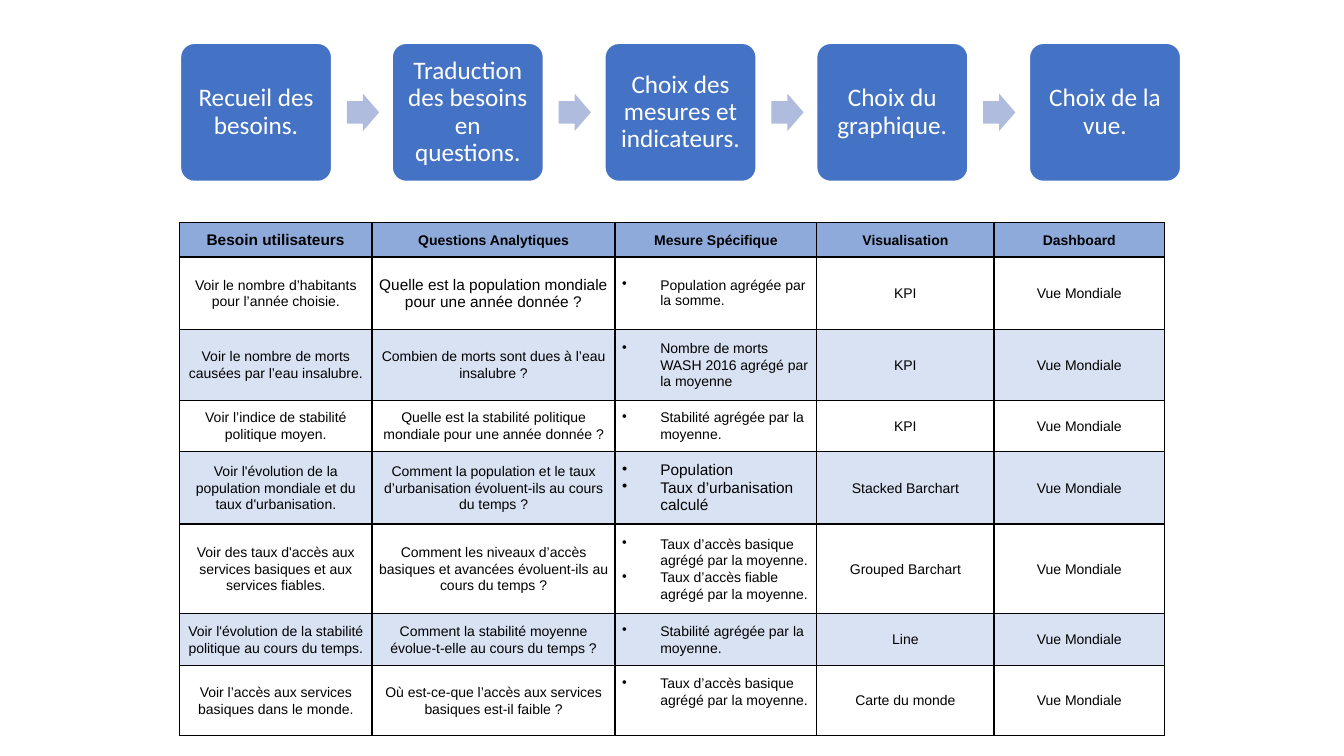
import pptx
import pptx.util
import pptx.dml.color
import pptx.enum.shapes
import pptx.enum.text
import lxml.etree

PX = 9144  # EMU, 100 px to the inch
THEME = {
    "box": "4472C4", "arrow": "B0BCDE", "head": "8EAADB", "band": "D9E2F3",
    "white": "FFFFFF", "black": "000000",
    "step": 18, "large": 11, "small": 10,
    "step font": "Calibri", "cell font": "Arial",
}
SHAPE = pptx.enum.shapes.MSO_SHAPE
ALIGN = pptx.enum.text.PP_ALIGN
MIDDLE = pptx.enum.text.MSO_ANCHOR.MIDDLE
Pt = pptx.util.Pt


def color(name):
    return pptx.dml.color.RGBColor.from_string(THEME[name])


def add_node(parent, tag, **attrs):
    """Append a DrawingML child element and return it."""
    space = "{http://schemas.openxmlformats.org/drawingml/2006/main}"
    return lxml.etree.SubElement(parent, space + tag, **attrs)


deck = pptx.Presentation()
deck.slide_width, deck.slide_height = 1333 * PX, 750 * PX
slide = deck.slides.add_slide(deck.slide_layouts[6])

# Table of needs
rows = [
    ["Besoin utilisateurs", "Questions Analytiques", "Mesure Spécifique",
     "Visualisation", "Dashboard"],
    ["Voir le nombre d’habitants pour l’année choisie.",
     "Quelle est la population mondiale pour une année donnée ?",
     "Population agrégée par la somme.", "KPI", "Vue Mondiale"],
    ["Voir le nombre de morts causées par l’eau insalubre.",
     "Combien de morts sont dues à l’eau insalubre ?",
     "Nombre de morts WASH 2016 agrégé par la moyenne", "KPI", "Vue Mondiale"],
    ["Voir l’indice de stabilité politique moyen.",
     "Quelle est la stabilité politique mondiale pour une année donnée ?",
     "Stabilité agrégée par la moyenne.", "KPI", "Vue Mondiale"],
    ["Voir l'évolution de la population mondiale et du taux d'urbanisation.",
     "Comment la population et le taux d’urbanisation évoluent-ils au cours du temps ?",
     "Population\nTaux d’urbanisation calculé", "Stacked Barchart", "Vue Mondiale"],
    ["Voir des taux d'accès aux services basiques et aux services fiables.",
     "Comment les niveaux d’accès basiques et avancées évoluent-ils au cours du temps ?",
     "Taux d’accès basique agrégé par la moyenne.\nTaux d’accès fiable agrégé par la moyenne.",
     "Grouped Barchart", "Vue Mondiale"],
    ["Voir l'évolution de la stabilité politique au cours du temps.",
     "Comment la stabilité moyenne évolue-t-elle au cours du temps ?",
     "Stabilité agrégée par la moyenne.", "Line", "Vue Mondiale"],
    ["Voir l’accès aux services basiques dans le monde.",
     "Où est-ce-que l’accès aux services basiques est-il faible ?",
     "Taux d’accès basique agrégé par la moyenne.", "Carte du monde", "Vue Mondiale"],
]
widths = [191, 241, 200, 176, 169]
heights = [34, 72, 70, 51, 72, 89, 51, 70]
large = {(0, 0), (1, 1), (4, 2)}
tight = {(1, 1), (1, 2), (4, 2)}
bullets = 2  # column of bulleted measures

table = slide.shapes.add_table(
    len(rows), len(widths), 178 * PX, 221 * PX,
    sum(widths) * PX, sum(heights) * PX).table
table.first_row = table.horz_banding = False
for column, width in zip(table.columns, widths):
    column.width = width * PX
for row, height in zip(table.rows, heights):
    row.height = height * PX

for r, row in enumerate(rows):
    for c, text in enumerate(row):
        cell = table.cell(r, c)
        cell.text = text
        cell.vertical_anchor = MIDDLE
        cell.margin_left = cell.margin_right = 7 * PX
        cell.margin_top = cell.margin_bottom = 7 * PX
        for side in ("lnL", "lnR", "lnT", "lnB"):
            line = add_node(cell._tc.get_or_add_tcPr(), side, w=str(Pt(1)))
            add_node(add_node(line, "solidFill"), "srgbClr", val=THEME["black"])
        if r == 0 or r % 2 == 0:
            cell.fill.solid()
            cell.fill.fore_color.rgb = color("band" if r else "head")
        else:
            cell.fill.background()

        paras = cell.text_frame.paragraphs
        if (r, c) not in tight:
            paras[-1].space_after = Pt(8)
        for para in paras:
            if (r, c) not in tight:
                para.line_spacing = 1.07
            if r and c == bullets:
                para.alignment = ALIGN.LEFT
                props = para._p.get_or_add_pPr()
                props.set("marL", str(38 * PX))
                props.set("indent", str(-38 * PX))
                add_node(props, "buChar", char="•")
            else:
                para.alignment = ALIGN.CENTER
            para.font.name = THEME["cell font"]
            para.font.size = Pt(THEME["large" if (r, c) in large else "small"])
            para.font.bold = r == 0
            para.font.color.rgb = color("black")

# The last measure sits one text line higher
table.cell(len(rows) - 1, bullets).margin_bottom = 24 * PX

# Chain of steps
steps = ["Recueil des besoins.", "Traduction des besoins en questions.",
         "Choix des mesures et indicateurs.", "Choix du graphique.",
         "Choix de la vue."]
last = len(steps) - 1
for i, step in enumerate(steps):
    left = 179 + 842 * i // last
    box = slide.shapes.add_shape(
        SHAPE.ROUNDED_RECTANGLE, left * PX, 43 * PX, 150 * PX, 137 * PX)
    box.adjustments[0] = 0.1
    box.shadow.inherit = False
    box.fill.solid()
    box.fill.fore_color.rgb = color("box")
    box.line.color.rgb = color("white")
    box.line.width = Pt(1)
    frame = box.text_frame
    frame.text = step
    frame.word_wrap = True
    frame.vertical_anchor = MIDDLE
    frame.margin_left = frame.margin_right = 7 * PX
    frame.margin_top = frame.margin_bottom = 7 * PX
    para = frame.paragraphs[0]
    para.alignment = ALIGN.CENTER
    para.line_spacing = 0.9
    para.font.name = THEME["step font"]
    para.font.size = Pt(THEME["step"])
    para.font.color.rgb = color("white")

    if i < last:
        arrow = slide.shapes.add_shape(
            SHAPE.RIGHT_ARROW, (left + 165) * PX, 93 * PX, 32 * PX, 37 * PX)
        arrow.adjustments[0] = 0.6
        arrow.adjustments[1] = 0.5
        arrow.shadow.inherit = False
        arrow.fill.solid()
        arrow.fill.fore_color.rgb = color("arrow")
        arrow.line.fill.background()

deck.save("out.pptx")
